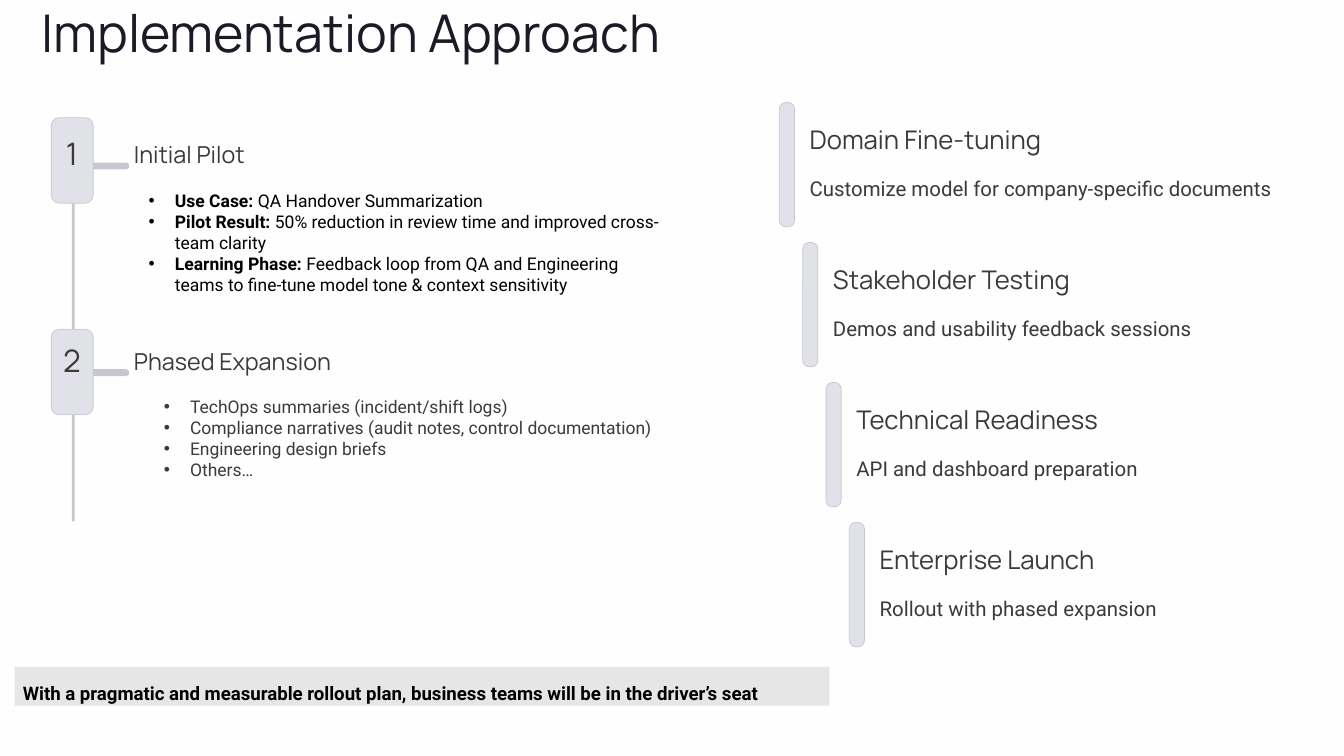
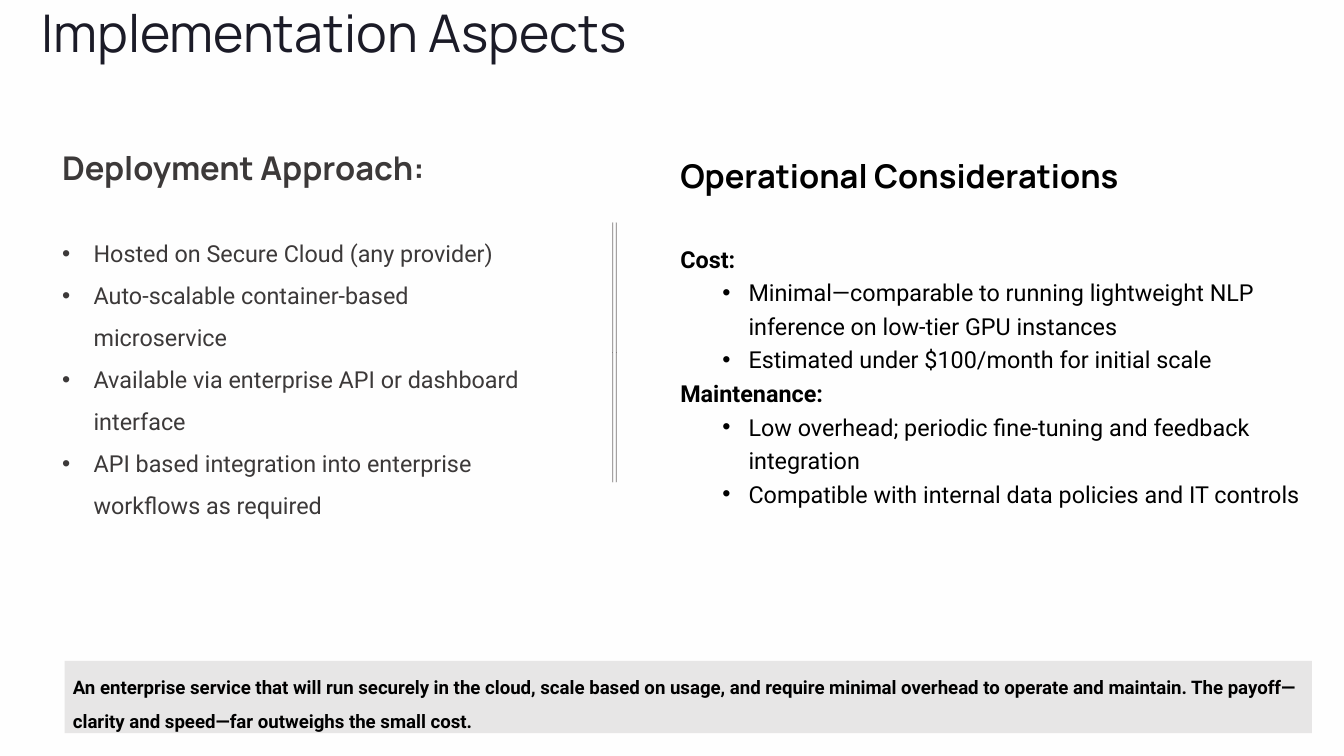
from dataclasses import dataclass
from typing import Optional

from lxml.etree import SubElement
from pptx import Presentation
from pptx.dml.color import RGBColor
from pptx.enum.shapes import MSO_SHAPE
from pptx.enum.text import MSO_ANCHOR, MSO_AUTO_SIZE, PP_ALIGN
from pptx.oxml.ns import qn
from pptx.shapes.autoshape import Shape
from pptx.slide import Slide
from pptx.text.text import TextFrame
from pptx.util import Pt

INK = RGBColor(0x1B, 0x1B, 0x27)
GREY = RGBColor(0x3C, 0x39, 0x39)
BLACK = RGBColor(0, 0, 0)
PALE = RGBColor(0xE1, 0xE1, 0xEA)
EDGE = RGBColor(0xC7, 0xC7, 0xD0)
BAND = RGBColor(0xE7, 0xE6, 0xE6)
RULE = RGBColor(0x76, 0x71, 0x71)
PAPER = RGBColor(0xFE, 0xFE, 0xFE)
HEAD = "Manrope"
BODY = "Roboto"


@dataclass(frozen=True)
class Box:
    """Place and size in points."""

    left: float
    top: float
    width: float
    height: float

    def lengths(self) -> tuple[Pt, Pt, Pt, Pt]:
        """Return the four lengths."""
        return Pt(self.left), Pt(self.top), Pt(self.width), Pt(self.height)


@dataclass(frozen=True)
class Phase:
    """Numbered phase on the timeline."""

    mark: str
    name: str
    badge: float
    row: float


@dataclass(frozen=True)
class Step:
    """Step of the staircase."""

    name: str
    note: str


@dataclass(frozen=True)
class Topic:
    """Bold label with its bullets."""

    name: str
    items: tuple[str, ...]


PHASES = (
    Phase("1", "Initial Pilot", 100.8, 116.6),
    Phase("2", "Phased Expansion", 282.2, 293.8),
)
PILOT = (
    ("Use Case: ", "QA Handover Summarization"),
    ("Pilot Result: ", "50% reduction in review time and improved cross-team clarity"),
    ("Learning Phase: ", "Feedback loop from QA and Engineering teams to fine-tune "
     "model tone & context sensitivity"),
)
GROWTH = (
    "TechOps summaries (incident/shift logs)",
    "Compliance narratives (audit notes, control documentation)",
    "Engineering design briefs",
    "Others…",
)
STEPS = (
    Step("Domain Fine-tuning", "Customize model for company-specific documents"),
    Step("Stakeholder Testing", "Demos and usability feedback sessions"),
    Step("Technical Readiness", "API and dashboard preparation"),
    Step("Enterprise Launch", "Rollout with phased expansion"),
)
DEPLOY = (
    "Hosted on Secure Cloud (any provider)",
    "Auto-scalable container-based microservice",
    "Available via enterprise API or dashboard interface",
    "API based integration into enterprise workflows as required",
)
TOPICS = (
    Topic("Cost:", (
        "Minimal—comparable to running lightweight NLP inference on low-tier GPU instances",
        "Estimated under $100/month for initial scale",
    )),
    Topic("Maintenance:", (
        "Low overhead; periodic fine-tuning and feedback integration",
        "Compatible with internal data policies and IT controls",
    )),
)


def write(frame: TextFrame, text: str, *, size: float, font: str = BODY,
          color: RGBColor = GREY, bold: bool = False, lead: str = "",
          space: float | Pt = 1.0, before: float = 0, hang: float = 0,
          margin: float = 0, align: PP_ALIGN = PP_ALIGN.LEFT) -> None:
    """Add one paragraph, with a bullet when it hangs and an optional bold lead."""
    para = frame.add_paragraph() if frame.text else frame.paragraphs[0]
    if hang:
        props = para._p.get_or_add_pPr()
        props.set("marL", str(Pt(margin or hang)))
        props.set("indent", str(-Pt(hang)))
        SubElement(props, qn("a:buFont")).set("typeface", "Arial")
        SubElement(props, qn("a:buChar")).set("char", "•")
    if margin > hang:
        para.level = 1
    para.alignment = align
    para.line_spacing = space
    if before:
        para.space_before = Pt(before)
    for part, heavy in ((lead, True), (text, bold)):
        if part:
            run = para.add_run()
            run.text = part
            run.font.size = Pt(size)
            run.font.name = font
            run.font.bold = heavy
            run.font.color.rgb = color


def setup(frame: TextFrame, wrap: bool, bare: bool) -> TextFrame:
    """Set wrapping, anchor and insets of a frame."""
    frame.word_wrap = wrap
    frame.auto_size = MSO_AUTO_SIZE.NONE
    frame.vertical_anchor = MSO_ANCHOR.TOP
    if bare:
        frame.margin_left = frame.margin_right = Pt(0)
        frame.margin_top = frame.margin_bottom = Pt(0)
    return frame


def area(slide: Slide, box: Box, wrap: bool = False, bare: bool = True) -> TextFrame:
    """Add a text box and return its frame."""
    return setup(slide.shapes.add_textbox(*box.lengths()).text_frame, wrap, bare)


def block(slide: Slide, kind: MSO_SHAPE, box: Box, fill: Optional[RGBColor] = None,
          line: Optional[RGBColor] = None, weight: float = 0.6,
          curve: Optional[float] = None) -> Shape:
    """Add a flat preset shape."""
    shape = slide.shapes.add_shape(kind, *box.lengths())
    shape.shadow.inherit = False
    if fill is None:
        shape.fill.background()
    else:
        shape.fill.solid()
        shape.fill.fore_color.rgb = fill
    if line is None:
        shape.line.fill.background()
    else:
        shape.line.color.rgb = line
        shape.line.width = Pt(weight)
    if curve is not None:
        shape.adjustments[0] = curve
    return shape


def start(deck: Presentation, text: str) -> Slide:
    """Add a slide with its title."""
    slide = deck.slides.add_slide(deck.slide_layouts[5])
    title = slide.shapes.title
    title.left, title.top, title.width, title.height = Box(35.3, 0.7, 538.6, 56.2).lengths()
    write(setup(title.text_frame, False, True), text, size=44.5, font=HEAD, color=INK)
    return slide


def banner(slide: Slide, box: Box, text: str) -> None:
    """Draw the grey takeaway band."""
    shape = block(slide, MSO_SHAPE.RECTANGLE, box, BAND)
    write(setup(shape.text_frame, True, False), text, size=16, color=BLACK,
          bold=True, space=1.5)


def phase(slide: Slide, item: Phase) -> None:
    """Draw a badge, its tick and its heading."""
    block(slide, MSO_SHAPE.ROUNDED_RECTANGLE, Box(77, item.row + 22.7, 33.8, 5.8),
          EDGE, curve=0.5)
    block(slide, MSO_SHAPE.ROUNDED_RECTANGLE, Box(43.9, item.badge, 36, 73.4),
          PALE, EDGE, curve=0.19)
    write(area(slide, Box(49.7, item.row + 4, 23.8, 61.2)), item.mark, size=26.5,
          font=HEAD, space=Pt(26.5), align=PP_ALIGN.CENTER)
    write(area(slide, Box(114.8, item.row, 198.7, 51.1)), item.name, size=20,
          font=HEAD, space=Pt(27.5))


def stair(slide: Slide, index: int, item: Step) -> None:
    """Draw one step, shifted right and down by its index."""
    left, top = 668 + 20 * index, 87.8 + 120 * index
    side = left + 26
    block(slide, MSO_SHAPE.ROUNDED_RECTANGLE, Box(left, top, 13, 106.6),
          PALE, EDGE, curve=0.42)
    write(area(slide, Box(side, top + 17.4, 166.3, 28)), item.name, size=22,
          font=HEAD, space=Pt(27.5))
    write(area(slide, Box(side, top + 56.4, 1112 - side, 28.8)), item.note, size=17.5,
          space=Pt(28))


def approach(deck: Presentation) -> None:
    """Build the slide of phases and steps."""
    slide = start(deck, "Implementation Approach")
    block(slide, MSO_SHAPE.ROUNDED_RECTANGLE, Box(61.6, 104.4, 2.4, 342.7),
          EDGE, curve=0.5)
    for item in PHASES:
        phase(slide, item)
    pilot = area(slide, Box(127.4, 162.7, 447.1, 105.1), wrap=True)
    for lead, text in PILOT:
        write(pilot, text, lead=lead, size=15, color=BLACK, hang=22.5)
    growth = area(slide, Box(104.4, 339.1, 476, 150.5))
    for text in GROWTH:
        write(growth, text, size=15, hang=22.5, margin=58.5)
    for index, step in enumerate(STEPS):
        stair(slide, index, step)
    banner(slide, Box(12.5, 571.7, 698.4, 33.1),
           "With a pragmatic and measurable rollout plan, business teams will be "
           "in the driver’s seat")


def aspects(deck: Presentation) -> None:
    """Build the slide of deployment and operations."""
    slide = start(deck, "Implementation Aspects")
    deploy = area(slide, Box(46.1, 123.1, 426.2, 222.5), wrap=True, bare=False)
    write(deploy, "Deployment Approach:", size=28, font=HEAD, bold=True)
    for index, text in enumerate(DEPLOY):
        write(deploy, text, size=20, space=1.5, hang=27, before=0 if index else 33)
    care = area(slide, Box(576, 123.1, 555.1, 222.5), wrap=True, bare=False)
    write(care, "Operational Considerations", size=28, font=HEAD, color=BLACK,
          bold=True, space=1.2)
    for index, topic in enumerate(TOPICS):
        write(care, topic.name, size=20, color=BLACK, bold=True, space=1.2,
              before=0 if index else 38)
        for text in topic.items:
            write(care, text, size=20, color=BLACK, space=1.2, hang=22.5, margin=58.5)
    banner(slide, Box(55.4, 566.6, 1069.2, 61.9),
           "An enterprise service that will run securely in the cloud, scale based on "
           "usage, and require minimal overhead to operate and maintain. The "
           "payoff—clarity and speed—far outweighs the small cost.")
    block(slide, MSO_SHAPE.DOUBLE_BRACE, Box(524.9, 190.8, 3.6, 222.5),
          line=RULE, weight=0.5)


def main() -> None:
    """Build and save the deck."""
    deck = Presentation()
    deck.slide_width, deck.slide_height = Pt(1152), Pt(648)
    back = deck.slide_master.background.fill
    back.solid()
    back.fore_color.rgb = PAPER
    approach(deck)
    aspects(deck)
    deck.save("out.pptx")


if __name__ == "__main__":
    main()
